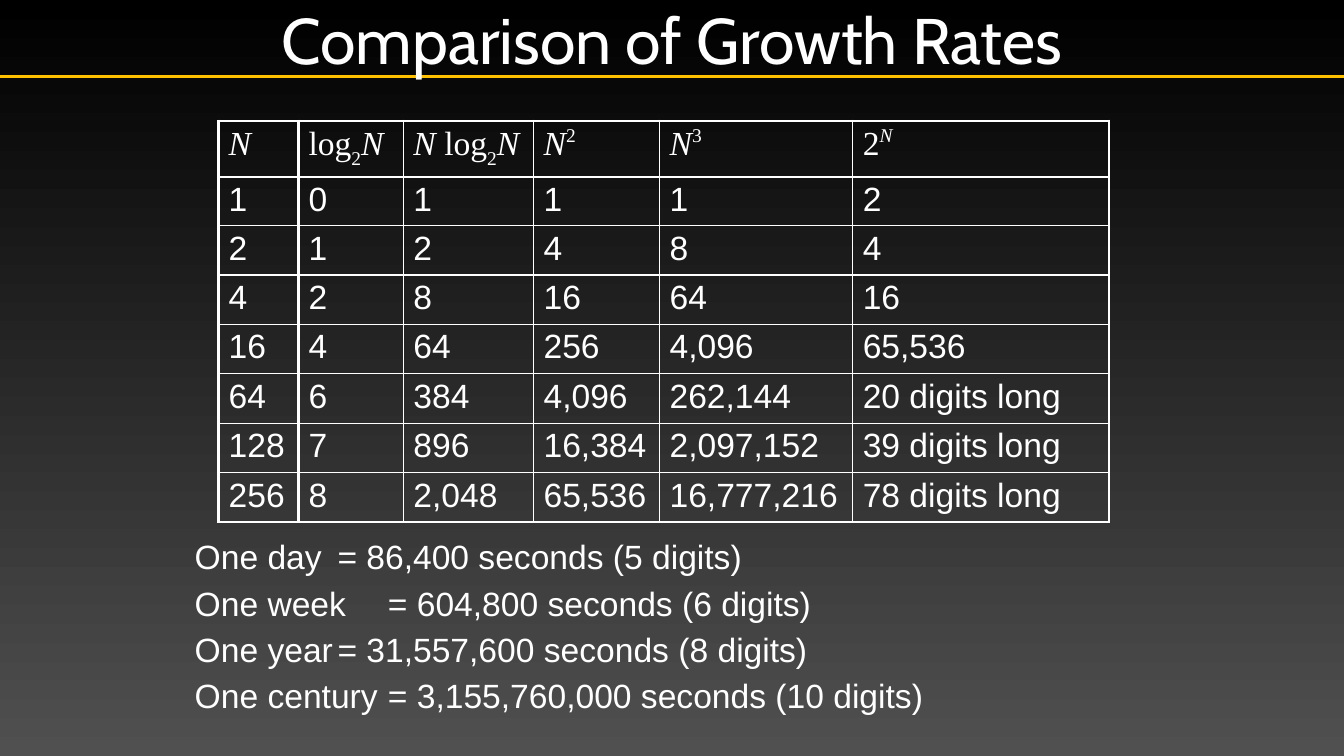
from lxml import etree
from pptx import Presentation
from pptx import util as u
from pptx.dml.color import RGBColor
from pptx.enum import shapes, text
from pptx.oxml.ns import qn

COLORS = {"white": "FFFFFF", "gold": "FFC000", "top": "000000", "bottom": "505050"}
TITLE = "Comparison of Growth Rates"
N, LOG, SUB2 = ("N", True, 0), ("log", False, 0), ("2", False, -30)
HEADER = [
    [N],
    [LOG, SUB2, N],
    [("N ", True, 0), LOG, SUB2, N],
    [N, ("2", False, 40)],
    [N, ("3", False, 40)],
    [("2", False, 0), ("N", True, 40)],
]
ROWS = [
    ("1", "0", "1", "1", "1", "2"),
    ("2", "1", "2", "4", "8", "4"),
    ("4", "2", "8", "16", "64", "16"),
    ("16", "4", "64", "256", "4,096", "65,536"),
    ("64", "6", "384", "4,096", "262,144", "20 digits long"),
    ("128", "7", "896", "16,384", "2,097,152", "39 digits long"),
    ("256", "8", "2,048", "65,536", "16,777,216", "78 digits long"),
]
DURATIONS = [
    "One day\t= 86,400 seconds (5 digits)",
    "One week\t= 604,800 seconds (6 digits)",
    "One year\t= 31,557,600 seconds (8 digits)",
    "One century\t= 3,155,760,000 seconds (10 digits)",
]
COL_WIDTHS = [57, 75, 93, 90, 138, 183]
ROW_HEIGHTS = [38.5, 34] + [35.3] * 6
THICK, THIN = 2.25, 1


def rgb(name):
    return RGBColor.from_string(COLORS[name])


def apply(obj, **values):
    for key, value in values.items():
        setattr(obj, key, value)


def add_run(p, words, font, size=24, italic=False, baseline=0):
    r = p.add_run()
    r.text = words
    apply(r.font, name=font, size=u.Pt(size), italic=italic)
    r.font.color.rgb = rgb("white")
    if baseline:
        r._r.get_or_add_rPr().set("baseline", str(baseline * 1000))


def add_text(box, lines, font, size, inset, anchor):
    tf = slide.shapes.add_textbox(*map(u.Pt, box)).text_frame
    side, edge = map(u.Pt, inset)
    apply(tf, word_wrap=True, vertical_anchor=anchor, margin_left=side,
          margin_right=side, margin_top=edge, margin_bottom=edge)
    for i, line in enumerate(lines):
        p = tf.paragraphs[0] if i == 0 else tf.add_paragraph()
        add_run(p, line, font, size)
    return tf


def set_borders(cell, widths):
    tcPr = cell._tc.get_or_add_tcPr()
    for i, (side, width) in enumerate(widths.items()):
        ln = etree.Element(qn("a:ln" + side), w=str(u.Pt(width)))
        fill = etree.SubElement(ln, qn("a:solidFill"))
        etree.SubElement(fill, qn("a:srgbClr"), val=COLORS["white"])
        tcPr.insert(i, ln)


prs = Presentation()
apply(prs, slide_width=u.Pt(960), slide_height=u.Pt(540))
slide = prs.slides.add_slide(prs.slide_layouts[6])
bg = slide.background.fill
bg.gradient()
bg.gradient_angle = 270
for stop, name, position in zip(bg.gradient_stops, ("top", "bottom"), (0, 1)):
    stop.color.rgb = rgb(name)
    stop.position = position

rule = slide.shapes.add_connector(
    shapes.MSO_CONNECTOR.STRAIGHT, 0, u.Pt(54.6), prs.slide_width, u.Pt(54.6))
rule.line.color.rgb = rgb("gold")
rule.line.width = u.Pt(2.5)
etree.SubElement(rule._element.spPr, qn("a:effectLst"))

title = add_text((120, 0, 720, 55.4), [TITLE], "Cabin", 46, (3.6, 3.6), text.MSO_ANCHOR.MIDDLE)
title.paragraphs[0].alignment = text.PP_ALIGN.CENTER

notes = add_text((129, 383, 702, 142), DURATIONS, "Arial", 24, (7.2, 0), text.MSO_ANCHOR.TOP)
for p in notes.paragraphs:
    p.space_after = u.Pt(4.3)
    apply_indent = {"marL": u.Pt(33), "indent": u.Pt(-30)}
    for key, value in apply_indent.items():
        p._p.get_or_add_pPr().set(key, str(value))

grid = [HEADER] + [[[(value, False, 0)] for value in row] for row in ROWS]
table = slide.shapes.add_table(
    len(grid), len(COL_WIDTHS), u.Pt(156.2), u.Pt(86.4),
    u.Pt(sum(COL_WIDTHS)), u.Pt(sum(ROW_HEIGHTS))).table
apply(table, first_row=False, horz_banding=False)
for column, width in zip(table.columns, COL_WIDTHS):
    column.width = u.Pt(width)
for row, height in zip(table.rows, ROW_HEIGHTS):
    row.height = u.Pt(height)

last_row, last_col = len(grid) - 1, len(COL_WIDTHS) - 1
for i, row in enumerate(grid):
    for j, runs in enumerate(row):
        cell = table.cell(i, j)
        cell.fill.background()
        apply(cell, margin_top=u.Pt(3), margin_bottom=u.Pt(3))
        for words, italic, baseline in runs:
            add_run(cell.text_frame.paragraphs[0], words,
                    "Arial" if i else "Times New Roman", 24, italic, baseline)
        set_borders(cell, {
            "L": THICK if j <= 1 else THIN,
            "R": THICK if j in (0, last_col) else THIN,
            "T": THICK if i <= 1 else THIN,
            "B": THICK if i in (0, last_row) else THIN,
        })

prs.save("out.pptx")
